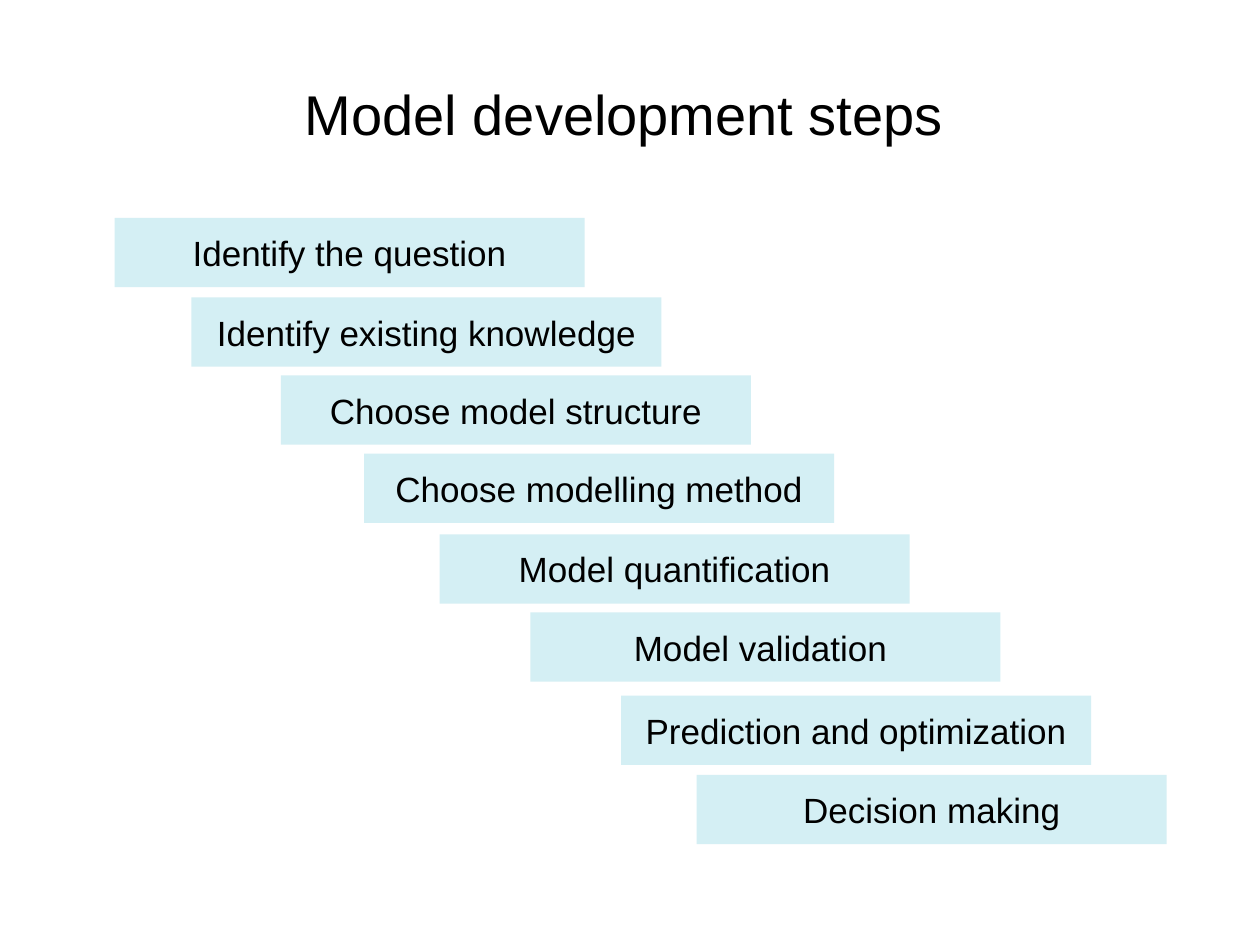
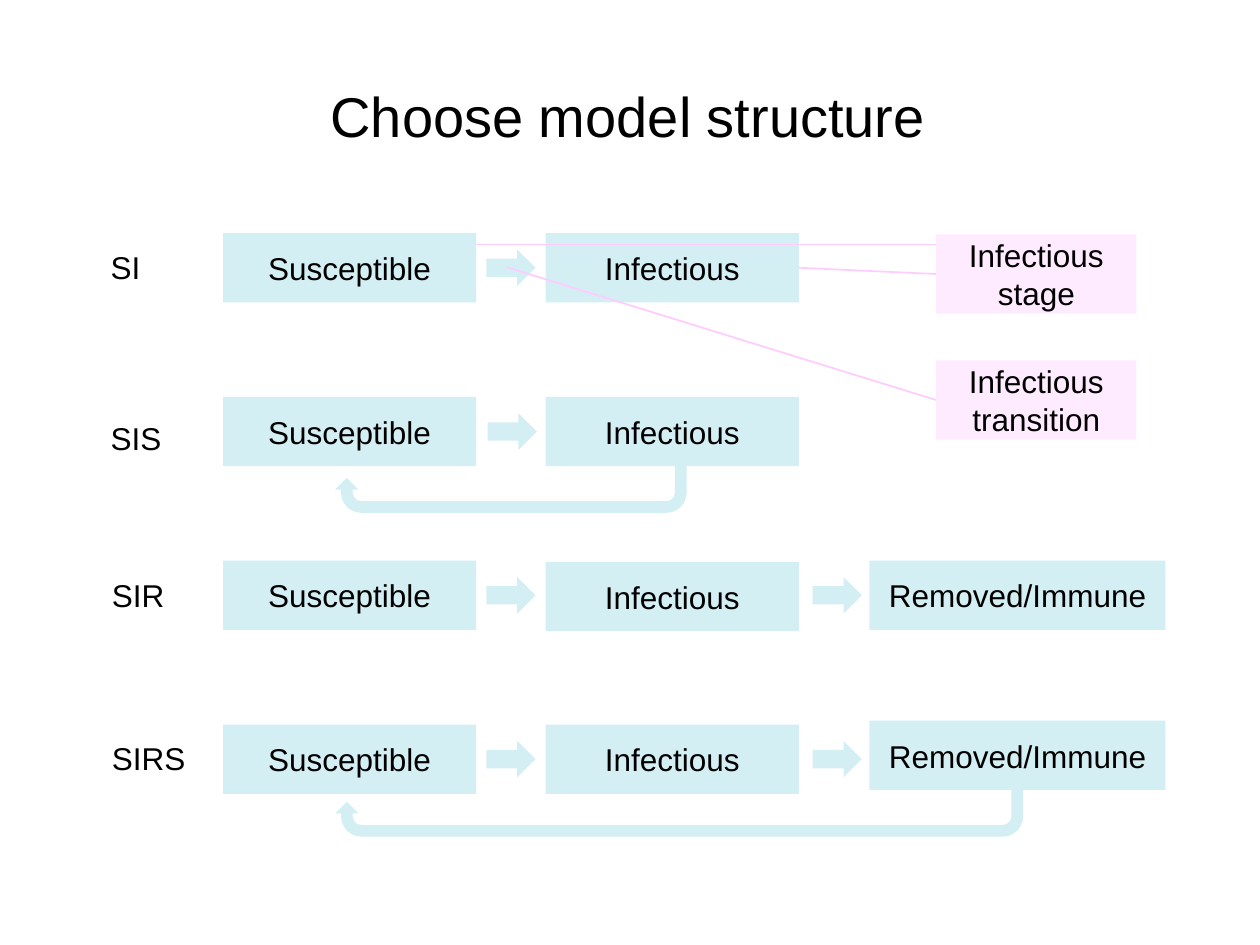
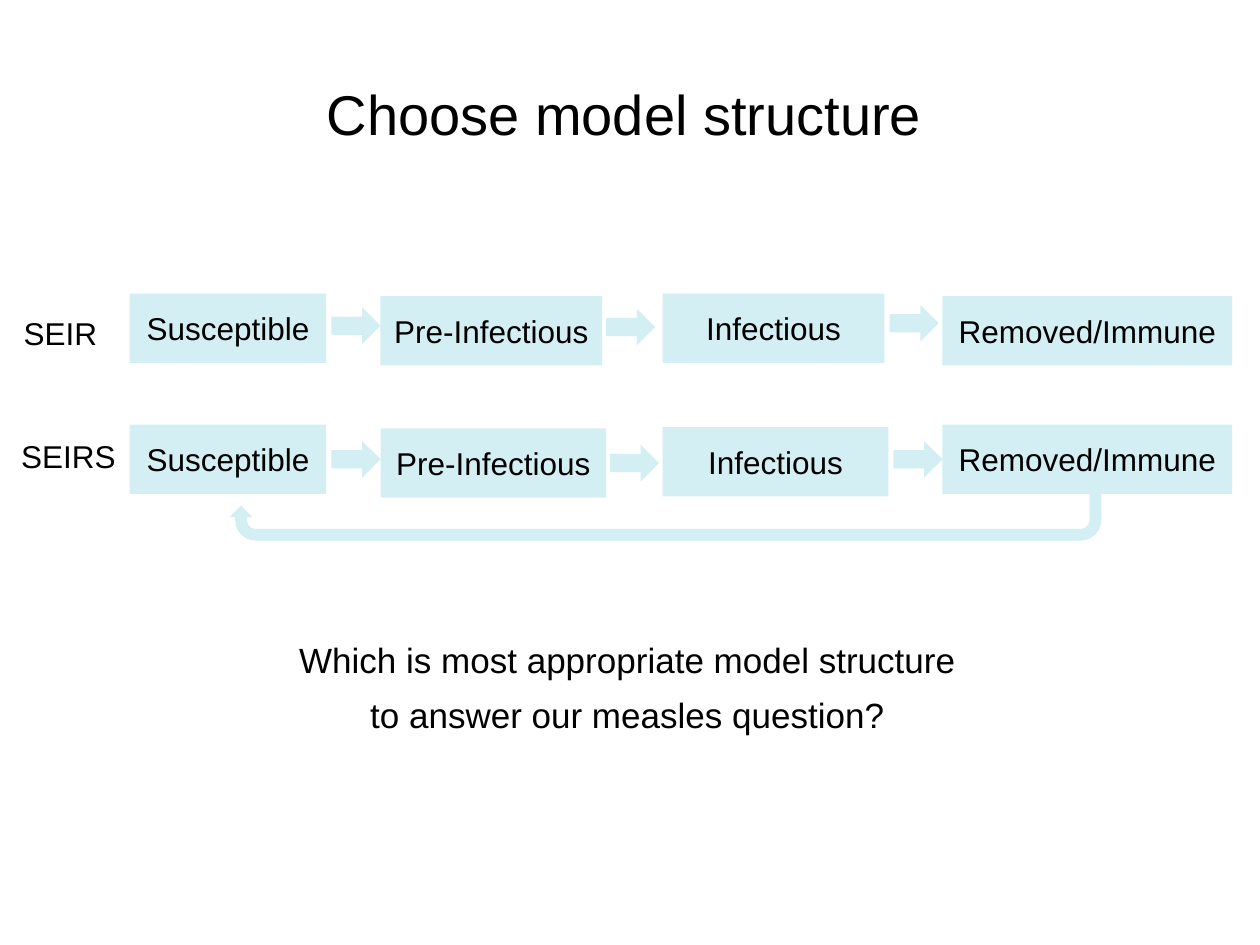
from lxml.etree import SubElement
from pptx import Presentation
from pptx.dml.color import RGBColor
from pptx.enum.shapes import MSO_CONNECTOR as Connector, MSO_SHAPE as Shape
from pptx.enum.text import MSO_ANCHOR as Anchor, MSO_AUTO_SIZE as AutoSize, PP_ALIGN as Align
from pptx.oxml.ns import qn
from pptx.util import Inches, Pt

COLORS = {"text": "000000", "stage": "D4EFF4", "note": "FFEBFF", "pointer": "FFCCFF"}
BOX_HEIGHT = 0.55
TITLE_FRAME = {"margin_left": 0, "margin_right": 0, "margin_top": Inches(0.01), "margin_bottom": 0,
               "vertical_anchor": Anchor.TOP, "auto_size": AutoSize.NONE}
BLOCK_FRAME = {"margin_left": Inches(0.05), "margin_right": Inches(0.05), "vertical_anchor": Anchor.MIDDLE}


def write(shape, text, size, frame, paragraph_format):
    text_frame = shape.text_frame
    text_frame.text = text
    for name, value in {"word_wrap": True, **frame}.items():
        setattr(text_frame, name, value)
    for paragraph in text_frame.paragraphs:
        for name, value in paragraph_format.items():
            setattr(paragraph, name, value)
        paragraph.font.name = "Arial"
        paragraph.font.size = Pt(size)
        paragraph.font.color.rgb = RGBColor.from_string(COLORS["text"])


def add_block(slide, kind, box, color="stage", text="", size=18):
    shape = slide.shapes.add_shape(kind, *map(Inches, box))
    shape.shadow.inherit = False
    shape.fill.solid()
    shape.fill.fore_color.rgb = RGBColor.from_string(COLORS[color])
    shape.line.fill.background()
    if text:
        write(shape, text, size, BLOCK_FRAME, {"alignment": Align.CENTER})
    return shape


presentation = Presentation()
presentation.slide_width = Inches(10)
presentation.slide_height = Inches(7.5)

slides = []
for title, left, top in [
    ("Model development steps", 0.48, 0.62),
    ("Choose model structure", 0.51, 0.64),
    ("Choose model structure", 0.48, 0.62),
]:
    slide = presentation.slides.add_slide(presentation.slide_layouts[5])
    placeholder = slide.shapes.title
    placeholder.left, placeholder.top = Inches(left), Inches(top)
    placeholder.width, placeholder.height = Inches(8.95), Inches(0.55)
    write(placeholder, title, 32, TITLE_FRAME, {"alignment": Align.CENTER, "space_before": Pt(0.9)})
    slides.append(slide)
steps_slide, basic_slide, exposed_slide = slides

for step, left, top in [
    ("Identify the question", 0.91, 1.73),
    ("Identify existing knowledge", 1.52, 2.36),
    ("Choose model structure", 2.23, 2.98),
    ("Choose modelling method", 2.89, 3.6),
    ("Model quantification", 3.49, 4.24),
    ("Model validation ", 4.21, 4.86),
    ("Prediction and optimization", 4.93, 5.52),
    ("Decision making", 5.53, 6.15),
]:
    add_block(steps_slide, Shape.RECTANGLE, (left, top, 3.73, BOX_HEIGHT), text=step, size=20)

basic_columns = [("Susceptible", 1.77, 2.01), ("Infectious", 4.33, 2.01), ("Removed/Immune", 6.9, 2.35)]
seir_columns = [("Susceptible", 1.03, 1.56), ("Pre-Infectious", 3.02, 1.76),
                ("Infectious", 5.26, 1.76), ("Removed/Immune", 7.48, 2.3)]
seirs_columns = [("Susceptible", 1.03, 1.56), ("Pre-Infectious", 3.02, 1.79),
                 ("Infectious", 5.26, 1.79), ("Removed/Immune", 7.48, 2.3)]

models = [
    (basic_slide, "SI", (0.78, 1.92), basic_columns, [1.85, 1.85], [(3.86, 1.98)], None),
    (basic_slide, "SIS", (0.78, 3.28), basic_columns, [3.15, 3.15], [(3.87, 3.28)], (2.66, 3.7, 2.79)),
    (basic_slide, "SIR", (0.79, 4.52), basic_columns, [4.45, 4.46, 4.45], [(3.86, 4.58), (6.45, 4.58)], None),
    (basic_slide, "SIRS", (0.79, 5.82), basic_columns, [5.75, 5.75, 5.72], [(3.86, 5.88), (6.45, 5.88)],
     (2.66, 6.27, 5.46)),
    (exposed_slide, "SEIR", (0.09, 2.44), seir_columns, [2.33, 2.35, 2.33, 2.35],
     [(2.63, 2.44), (4.81, 2.45), (7.06, 2.42)], None),
    (exposed_slide, "SEIRS", (0.07, 3.42), seirs_columns, [3.37, 3.4, 3.39, 3.37],
     [(2.63, 3.5), (4.84, 3.53), (7.09, 3.5)], (1.82, 3.92, 6.92)),
]
stages = {}
for slide, model, label_position, columns, tops, arrows, return_arrow in models:
    label = slide.shapes.add_textbox(*map(Inches, (*label_position, 1, 0.4)))
    write(label, model, 18, {}, {"alignment": Align.LEFT})
    for (stage, left, width), top in zip(columns, tops):
        stages[model, stage] = add_block(slide, Shape.RECTANGLE, (left, top, width, BOX_HEIGHT), text=stage)
    for left, top in arrows:
        add_block(slide, Shape.RIGHT_ARROW, (left, top, 0.39, 0.29))
    if return_arrow:
        add_block(slide, Shape.U_TURN_ARROW, (*return_arrow, 0.37)).rotation = 180

stage_note, transition_note = [
    add_block(basic_slide, Shape.RECTANGLE, (7.43, top, 1.59, 0.63), "note", text)
    for text, top in [("Infectious\nstage", 1.86), ("Infectious\ntransition", 2.86)]
]
for start, end, start_shape, end_shape in [
    ((7.43, 2.18), (6.34, 2.12), stage_note, stages["SI", "Infectious"]),
    ((7.43, 1.94), (3.78, 1.94), None, None),
    ((7.43, 3.18), (4.02, 2.12), transition_note, None),
]:
    pointer = basic_slide.shapes.add_connector(Connector.STRAIGHT, *map(Inches, (*start, *end)))
    pointer.line.color.rgb = RGBColor.from_string(COLORS["pointer"])
    pointer.line.width = Pt(1)
    SubElement(pointer._element.spPr, qn("a:effectLst"))
    if start_shape:
        pointer.begin_connect(start_shape, 1)
    if end_shape:
        pointer.end_connect(end_shape, 3)

question = exposed_slide.shapes.add_textbox(*map(Inches, (0.42, 4.97, 9.12, 0.88)))
write(question, "Which is most appropriate model structure\nto answer our measles question?", 20,
      {**TITLE_FRAME, "margin_top": Inches(0.03)},
      {"alignment": Align.CENTER, "line_spacing": 1.2, "space_before": Pt(2.5)})

presentation.save("out.pptx")
